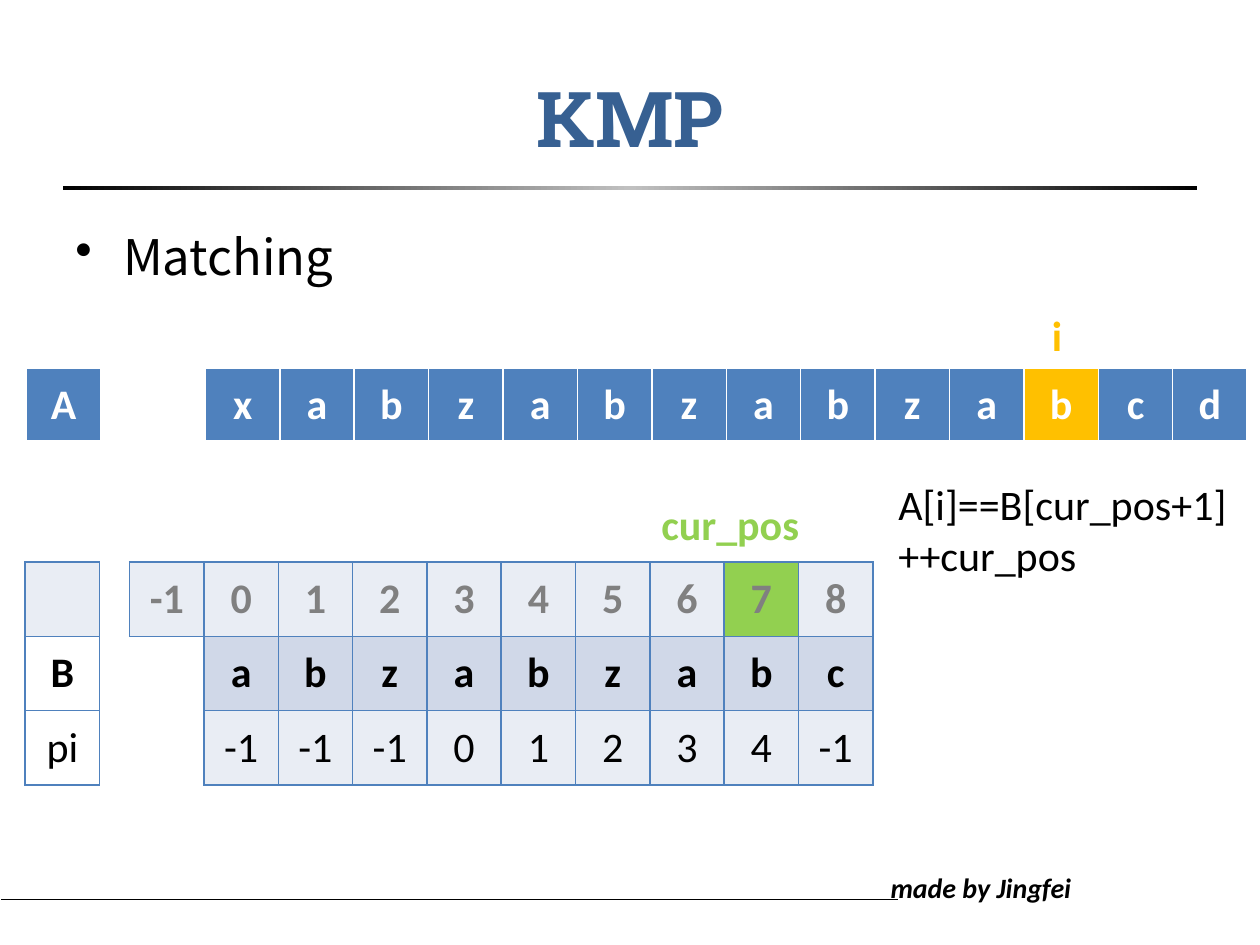
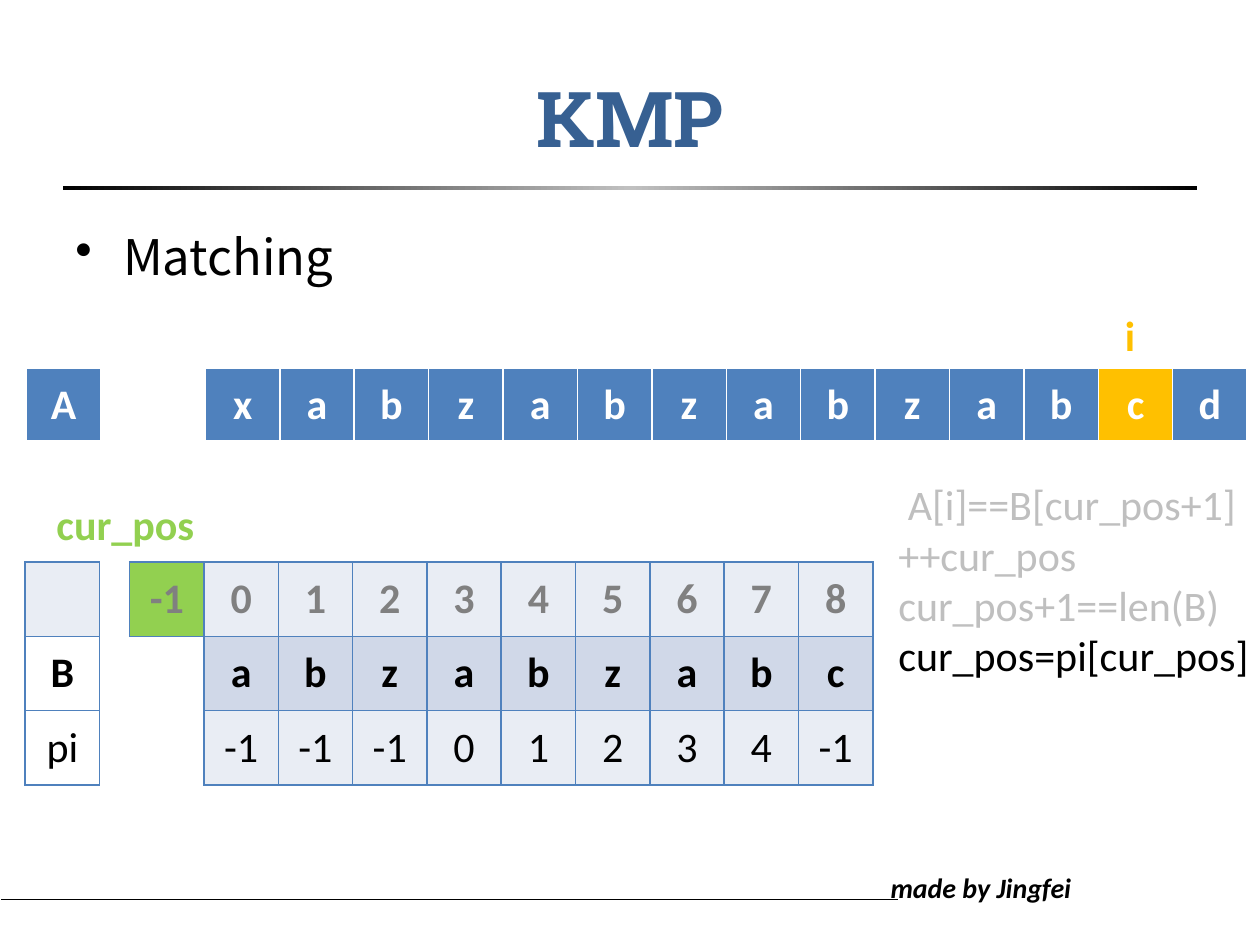
from lxml import etree
from pptx import Presentation
from pptx.dml.color import RGBColor
from pptx.enum.shapes import MSO_CONNECTOR, MSO_SHAPE
from pptx.enum.text import MSO_ANCHOR, MSO_AUTO_SIZE, PP_ALIGN
from pptx.oxml.ns import qn
from pptx.util import Inches, Pt

CENTER = PP_ALIGN.CENTER
MIDDLE, TOP = MSO_ANCHOR.MIDDLE, MSO_ANCHOR.TOP
GROW = MSO_AUTO_SIZE.SHAPE_TO_FIT_TEXT
NO_GROW = MSO_AUTO_SIZE.NONE

COLORS = {
    "black": "000000", "white": "FFFFFF", "silver": "C0C0C0",
    "title": "376092", "blue": "4F81BD", "band": "D0D8E8", "pale": "E9EDF4",
    "index": "808080", "done": "BFBFBF", "orange": "FFC000", "green": "92D050",
}
CELL, GAP = 0.59, 0.23
TEXT_A = "xabzabzabzabcd"
PATTERN_B = "abzabzabc"
PI = [-1, -1, -1, 0, 1, 2, 3, 4, -1]


def rgb(name):
    return RGBColor.from_string(COLORS[name])


def style(p, size, color, font="Calibri", bold=False, italic=False):
    f = p.font
    f.name, f.size, f.bold, f.italic = font, Pt(size), bold, italic
    f.color.rgb = rgb(color)


def add_text(s, box, lines, size=24, wrap=False, anchor=TOP, grow=GROW,
             align=None, **font):
    """Add a text box; lines are (text, colour) pairs."""
    tf = s.shapes.add_textbox(*map(Inches, box)).text_frame
    tf.word_wrap, tf.auto_size, tf.vertical_anchor = wrap, grow, anchor
    for i, (text, color) in enumerate(lines):
        p = tf.add_paragraph() if i else tf.paragraphs[0]
        p.text = text
        p.alignment = align
        style(p, size, color, **font)
    return tf


def add_bullet(s, box, text):
    p = add_text(s, box, [(text, "black")], 28, wrap=True, grow=NO_GROW,
                 font="Noto Sans CJK SC").paragraphs[0]
    pPr = p._p.get_or_add_pPr()
    pPr.set("marL", str(Inches(0.38)))
    pPr.set("indent", str(Inches(-0.38)))
    bullet = etree.Element(qn("a:buChar"), char="•")
    pPr.insert(0, bullet)


def add_title_rule(s):
    rule = s.shapes.add_shape(MSO_SHAPE.RECTANGLE, Inches(0.5), Inches(1.48),
                              Inches(9), Inches(0.03))
    rule.shadow.inherit = False
    rule.line.fill.background()
    rule.fill.gradient()
    rule.fill.gradient_angle = 0
    stops = rule._element.spPr.find(".//" + qn("a:gsLst"))
    for stop in list(stops):
        stops.remove(stop)
    for pos, color in ((0, "black"), (50, "silver"), (100, "black")):
        stop = etree.SubElement(stops, qn("a:gs"), pos=str(pos * 1000))
        etree.SubElement(stop, qn("a:srgbClr"), val=COLORS[color])


def add_footer(s):
    line = s.shapes.add_connector(MSO_CONNECTOR.STRAIGHT, Inches(0.01),
                                  Inches(7.14), Inches(7.13), Inches(7.14))
    line.line.color.rgb = rgb("black")
    line.line.width = Pt(0.5)
    etree.SubElement(line._element.spPr, qn("a:effectLst"))
    add_text(s, (6.97, 6.86, 1.67, 0.37), [("made by Jingfei", "black")], 16,
             wrap=True, bold=True, italic=True)


def set_borders(cell, sides, color, widths):
    """Draw the wanted sides of a cell and clear the others."""
    tcPr = cell._tc.get_or_add_tcPr()
    for i, side in enumerate("LRTB"):
        ln = etree.Element(qn("a:ln" + side), w=str(Pt(widths.get(side, 1))))
        if side in sides:
            fill = etree.SubElement(ln, qn("a:solidFill"))
            etree.SubElement(fill, qn("a:srgbClr"), val=COLORS[color])
        else:
            etree.SubElement(ln, qn("a:noFill"))
        tcPr.insert(i, ln)


def add_grid(s, x, y, width, rows, border, widths):
    """Add a table of (text, fill, colour, bold) cells; None leaves a gap."""
    n_rows, n_cols = len(rows), len(rows[0])
    table = s.shapes.add_table(n_rows, n_cols, Inches(x), Inches(y),
                               Inches(width), Inches(CELL * n_rows)).table
    table.first_row = table.horz_banding = False
    for i, col in enumerate(table.columns):
        col.width = Inches(GAP if i == 1 else (width - GAP) / (n_cols - 1))

    def used(r, c):
        return 0 <= r < n_rows and 0 <= c < n_cols and rows[r][c] is not None

    for r, row in enumerate(rows):
        table.rows[r].height = Inches(CELL)
        for c, content in enumerate(row):
            cell = table.cell(r, c)
            text, fill, color, bold = content or ("", None, "black", False)
            if fill:
                cell.fill.solid()
                cell.fill.fore_color.rgb = rgb(fill)
            else:
                cell.fill.background()
            cell.vertical_anchor = MIDDLE
            p = cell.text_frame.paragraphs[0]
            p.text = text
            p.alignment = CENTER
            style(p, 24, color, bold=bold)
            # A side is drawn when a used cell lies on either side of it
            near = {"L": (r, c - 1), "R": (r, c + 1),
                    "T": (r - 1, c), "B": (r + 1, c)}
            sides = [k for k, pos in near.items() if used(r, c) or used(*pos)]
            set_borders(cell, sides, border, widths)


def add_text_row(s, i):
    row = [("A", "blue", "white", True), None, None]
    row += [(ch, "orange" if k == i else "blue", "white", True)
            for k, ch in enumerate(TEXT_A)]
    add_grid(s, 0.21, 2.92, 9.68, [row], "white", {"B": 3})


def add_pattern_table(s, cur_pos):
    indexes = [("", "pale", "index", True), None]
    indexes += [(str(k), "green" if k == cur_pos else "pale", "index", True)
                for k in range(-1, len(PATTERN_B))]
    letters = [("B", None, "black", True), None, None]
    letters += [(ch, "band", "black", True) for ch in PATTERN_B]
    values = [("pi", None, "black", False), None, None]
    values += [(str(v), "pale", "black", False) for v in PI]
    add_grid(s, 0.2, 4.46, 6.72, [indexes, letters, values], "blue", {})


def add_step(prs, i, i_x, cur_pos, cur_pos_x, code_box, code):
    s = prs.slides.add_slide(prs.slide_layouts[6])
    # Shared frame
    add_footer(s)
    add_title_rule(s)
    add_text(s, (0.5, 0.3, 9, 1.25), [("KMP", "title")], 44, wrap=True,
             anchor=MIDDLE, grow=NO_GROW, align=CENTER,
             font="Roboto Slab", bold=True)
    add_bullet(s, (0.5, 1.75, 9.5, 5.46), "Matching")
    # Text, pattern and prefix table
    add_text_row(s, i)
    add_pattern_table(s, cur_pos)
    # Code and pointer labels
    add_text(s, code_box, code)
    add_text(s, (i_x, 2.41, 0.29, 0.5), [("i", "orange")], bold=True)
    add_text(s, (cur_pos_x, 3.91, 1.43, 0.5), [("cur_pos", "green")], bold=True)


def main():
    prs = Presentation()
    prs.slide_width, prs.slide_height = Inches(10), Inches(7.5)
    add_step(prs, 11, 8.25, 7, 5.15, (6.73, 3.75, 3.44, 0.91), [
        ("    A[i]==B[cur_pos+1]", "black"),
        ("    ++cur_pos", "black"),
    ])
    add_step(prs, 12, 8.83, -1, 0.35, (6.73, 3.75, 3.66, 1.72), [
        ("     A[i]==B[cur_pos+1]", "done"),
        ("    ++cur_pos", "done"),
        ("    cur_pos+1==len(B)", "done"),
        ("    cur_pos=pi[cur_pos]", "black"),
    ])
    prs.save("out.pptx")


if __name__ == "__main__":
    main()
